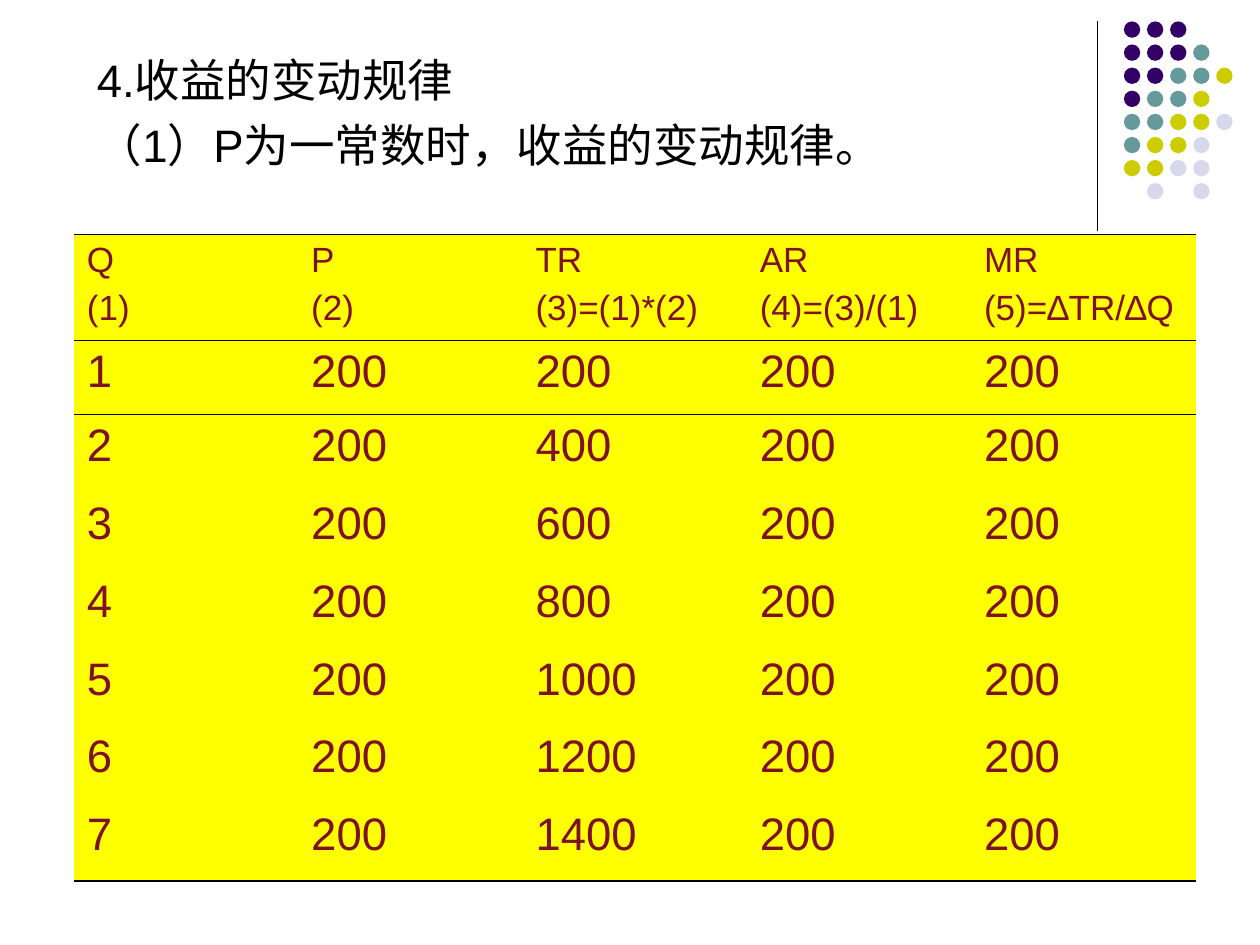
from lxml import etree
from pptx import Presentation
from pptx.dml.color import RGBColor
from pptx.enum.shapes import MSO_CONNECTOR, MSO_SHAPE
from pptx.oxml.ns import qn
from pptx.util import Emu, Inches, Pt

STRAIGHT, OVAL = MSO_CONNECTOR.STRAIGHT, MSO_SHAPE.OVAL

# Content
HEADING = ["4.收益的变动规律", "（1）P为一常数时，收益的变动规律。"]
HEADER = [("Q", "(1)"), ("P", "(2)"), ("TR", "(3)=(1)*(2)"),
          ("AR", "(4)=(3)/(1)"), ("MR", "(5)=∆TR/∆Q")]
ROWS = [
    ("1", "200", "200", "200", "200"),
    ("2", "200", "400", "200", "200"),
    ("3", "200", "600", "200", "200"),
    ("4", "200", "800", "200", "200"),
    ("5", "200", "1000", "200", "200"),
    ("6", "200", "1200", "200", "200"),
    ("7", "200", "1400", "200", "200"),
]
# One letter per dot, keyed to THEME["dots"]; a point leaves the place empty
DOT_ROWS = ["PPP..", "PPPT.", "PPTTY", "PTTY.", "TTYYL", "TYYL.", "YYLL.", ".L.L."]

THEME = {
    "font": "Arial", "body": 26, "header": 20, "space": 0.25,
    "ink": "000000", "table_text": "7E1126", "table_fill": "FFFF00",
    "thin": 0.45, "thick": 1.08, "divider": 0.75,
    "dots": {"P": "330066", "T": "669999", "Y": "CCCC00", "L": "D8D8EC"},
}

# Grid, in inches
DOT_LEFT, DOT_TOP, DOT_PITCH, DOT_SIZE = 8.92, 0.17, 0.1833, 0.13
TABLE_LEFT, TABLE_TOP, COLUMN_WIDTH = 0.59, 1.86, 1.78
ROW_HEIGHTS = [0.84, 0.59] + [0.617] * 6
HANGING = 0.38
PLAIN_TABLE = "{2D5ABB26-0587-4C30-8999-92F81FD0307C}"


def color(name):
    return RGBColor.from_string(name)


def write(text_frame, lines, size, ink):
    for index, line in enumerate(lines):
        paragraph = text_frame.paragraphs[0] if index == 0 else text_frame.add_paragraph()
        paragraph.text = line
        paragraph.font.name = THEME["font"]
        paragraph.font.size = Pt(size)
        paragraph.font.color.rgb = color(ink)
        if index:
            paragraph.space_before = Pt(size * THEME["space"])


def add_border(cell, side, width):
    properties = cell._tc.get_or_add_tcPr()
    border = etree.Element(qn(f"a:{side}"), w=str(Pt(width)))
    fill = etree.SubElement(border, qn("a:solidFill"))
    etree.SubElement(fill, qn("a:srgbClr"), val=THEME["ink"])
    # Borders come before the cell fill
    properties.insert(len(properties.findall(qn("a:lnT"))), border)


def add_divider(slide):
    line = slide.shapes.add_connector(
        STRAIGHT, Inches(8.71), Inches(0.17), Inches(8.71), Inches(1.83))
    line.line.color.rgb = color(THEME["ink"])
    line.line.width = Pt(THEME["divider"])
    etree.SubElement(line._element.spPr, qn("a:effectLst"))


def add_dots(slide):
    group = slide.shapes.add_group_shape()
    for row, pattern in enumerate(DOT_ROWS):
        for column, key in enumerate(pattern):
            if key == ".":
                continue
            dot = group.shapes.add_shape(
                OVAL, Inches(DOT_LEFT + column * DOT_PITCH),
                Inches(DOT_TOP + row * DOT_PITCH), Inches(DOT_SIZE), Inches(DOT_SIZE))
            dot.shadow.inherit = False
            dot.fill.solid()
            dot.fill.fore_color.rgb = color(THEME["dots"][key])
            dot.line.fill.background()


def add_heading(slide):
    box = slide.shapes.add_textbox(Inches(0.67), Inches(0.36), Inches(7.01), Inches(1.42))
    box.text_frame.word_wrap = True
    write(box.text_frame, HEADING, THEME["body"], THEME["ink"])
    for paragraph in box.text_frame.paragraphs:
        properties = paragraph._p.get_or_add_pPr()
        properties.set("marL", str(Inches(HANGING)))
        properties.set("indent", str(-Inches(HANGING)))


def add_revenue_table(slide):
    cells = [HEADER] + [[(value,) for value in row] for row in ROWS]
    frame = slide.shapes.add_table(
        len(cells), len(HEADER), Inches(TABLE_LEFT), Inches(TABLE_TOP),
        Inches(COLUMN_WIDTH * len(HEADER)), Inches(sum(ROW_HEIGHTS)))
    table = frame.table
    table.first_row = table.horz_banding = False
    table._tbl.tblPr.find(qn("a:tableStyleId")).text = PLAIN_TABLE
    for column in table.columns:
        column.width = Inches(COLUMN_WIDTH)
    last = len(cells) - 1
    for row, values in enumerate(cells):
        table.rows[row].height = Emu(Inches(ROW_HEIGHTS[row]))
        size = THEME["header"] if row == 0 else THEME["body"]
        for column, lines in enumerate(values):
            cell = table.cell(row, column)
            write(cell.text_frame, lines, size, THEME["table_text"])
            cell.fill.solid()
            cell.fill.fore_color.rgb = color(THEME["table_fill"])
            if row <= 1:
                add_border(cell, "lnT", THEME["thin"])
            if row == 0:
                add_border(cell, "lnB", THEME["thin"])
            if row == last:
                add_border(cell, "lnB", THEME["thick"])


def main():
    presentation = Presentation()
    presentation.slide_width, presentation.slide_height = Inches(10), Inches(7.5)
    slide = presentation.slides.add_slide(presentation.slide_layouts[6])
    add_divider(slide)
    add_dots(slide)
    add_heading(slide)
    add_revenue_table(slide)
    presentation.save("out.pptx")


if __name__ == "__main__":
    main()
